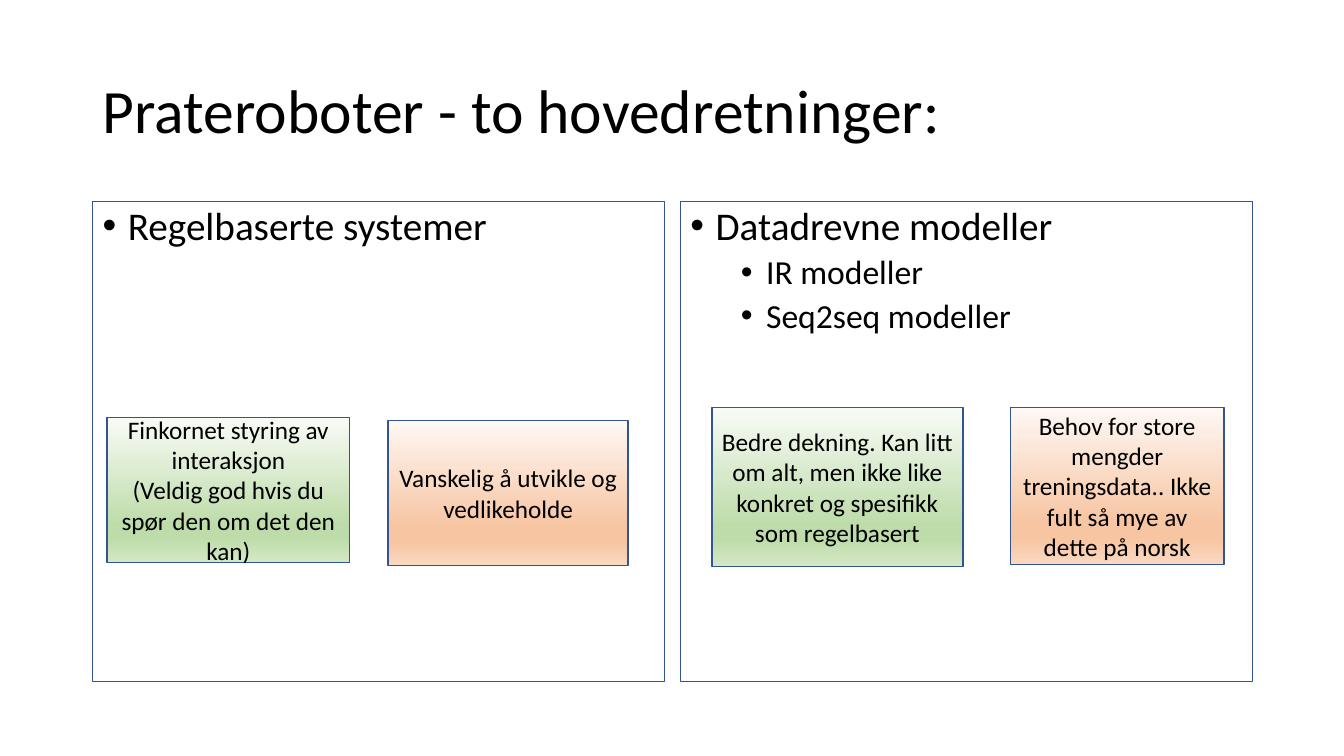
"""Build a slide that compares two main approaches to chatbots."""
from dataclasses import dataclass

import lxml.etree
import pptx
import pptx.dml.color
import pptx.enum.shapes
import pptx.enum.text
import pptx.oxml.ns
import pptx.util

Inches = pptx.util.Inches
Pt = pptx.util.Pt
COLOURS = {"text": "000000", "line": "325491"}
GRADIENTS = {
    "strength": {0: "F8FBF6", 74: "BEDCAA", 83: "BEDCAA", 100: "D4E8C6"},
    "weakness": {0: "FEF8F5", 74: "F7C5A2", 83: "F7C5A2", 100: "FAD8C1"},
}


@dataclass
class Panel:
    """A framed bullet list with a heading and subpoints."""
    left: float
    heading: str
    subpoints: tuple[str, ...] = ()


@dataclass
class Note:
    """A gradient box that names a strength or a weakness."""
    left: float
    top: float
    width: float
    height: float
    kind: str
    lines: tuple[str, ...]


PANELS = [
    Panel(0.92, "Regelbaserte systemer"),
    Panel(6.75, "Datadrevne modeller", ("IR modeller", "Seq2seq modeller")),
]
NOTES = [
    Note(1.06, 4.14, 2.41, 1.44, "strength",
         ("Finkornet styring av interaksjon",
          "(Veldig god hvis du spør den om det den kan)")),
    Note(3.85, 4.17, 2.38, 1.44, "weakness",
         ("Vanskelig å utvikle og vedlikeholde",)),
    Note(7.06, 4.04, 2.49, 1.58, "strength",
         ("Bedre dekning. Kan litt om alt, men ikke like konkret og spesifikk "
          "som regelbasert",)),
    Note(10.02, 4.04, 2.12, 1.56, "weakness",
         ("Behov for store mengder treningsdata.. Ikke fult så mye av dette "
          "på norsk",)),
]


def colour(code: str) -> pptx.dml.color.RGBColor:
    """Turn a hex string into a colour."""
    return pptx.dml.color.RGBColor.from_string(code)


def set_font(para, size: float) -> None:
    """Set the font of a whole paragraph."""
    para.font.name = "Calibri"
    para.font.size = Pt(size)
    para.font.color.rgb = colour(COLOURS["text"])


def set_outline(box, width: float) -> None:
    """Draw the blue outline of a box."""
    box.line.color.rgb = colour(COLOURS["line"])
    box.line.width = Pt(width)


def add_bullet(para, level: int) -> None:
    """Give a paragraph a hanging bullet for its level."""
    para.level = level
    para.line_spacing = 0.9
    para.space_before = Pt(5 if level else 10)
    properties = para._p.get_or_add_pPr()
    properties.set("marL", str(Inches(0.25 + 0.5 * level)))
    properties.set("indent", str(Inches(-0.25)))
    for tag, name, value in (("a:buFont", "typeface", "Arial"),
                             ("a:buChar", "char", "•")):
        lxml.etree.SubElement(properties, pptx.oxml.ns.qn(tag)).set(name, value)
    set_font(para, 24 if level else 28)


def set_gradient(box, stops: dict[int, str]) -> None:
    """Fill a box from top to bottom with the given stops."""
    box.fill.gradient()
    box.fill.gradient_angle = 270
    stop_list = box._element.spPr.find(".//" + pptx.oxml.ns.qn("a:gsLst"))
    for old_stop in list(stop_list):
        stop_list.remove(old_stop)
    for percent, code in stops.items():
        stop = lxml.etree.SubElement(stop_list, pptx.oxml.ns.qn("a:gs"))
        stop.set("pos", str(percent * 1000))
        lxml.etree.SubElement(stop, pptx.oxml.ns.qn("a:srgbClr")).set("val", code)


def add_title(page, text: str) -> None:
    """Place and format the title."""
    title = page.shapes.title
    title.left, title.top = Inches(0.92), Inches(0.4)
    title.width, title.height = Inches(11.5), Inches(1.45)
    frame = title.text_frame
    frame.text = text
    frame.auto_size = pptx.enum.text.MSO_AUTO_SIZE.NONE
    frame.vertical_anchor = pptx.enum.text.MSO_ANCHOR.MIDDLE
    para = frame.paragraphs[0]
    para.alignment = pptx.enum.text.PP_ALIGN.LEFT
    para.line_spacing = 0.9
    set_font(para, 44)


def add_panel(page, panel: Panel) -> None:
    """Draw a framed bullet list."""
    box = page.shapes.add_textbox(
        Inches(panel.left), Inches(2), Inches(5.67), Inches(4.76))
    set_outline(box, 0.75)
    frame = box.text_frame
    frame.word_wrap = True
    frame.text = "\n".join((panel.heading, *panel.subpoints))
    for index, para in enumerate(frame.paragraphs):
        add_bullet(para, min(index, 1))


def add_note(page, note: Note) -> None:
    """Draw a gradient box with centred text."""
    box = page.shapes.add_shape(
        pptx.enum.shapes.MSO_SHAPE.RECTANGLE, Inches(note.left),
        Inches(note.top), Inches(note.width), Inches(note.height))
    box.shadow.inherit = False
    set_gradient(box, GRADIENTS[note.kind])
    set_outline(box, 1)
    frame = box.text_frame
    frame.word_wrap = True
    frame.vertical_anchor = pptx.enum.text.MSO_ANCHOR.MIDDLE
    frame.text = "\n".join(note.lines)
    for para in frame.paragraphs:
        para.alignment = pptx.enum.text.PP_ALIGN.CENTER
        set_font(para, 18)


def main() -> None:
    """Build and save the deck."""
    deck = pptx.Presentation()
    deck.slide_width, deck.slide_height = Inches(13.33), Inches(7.5)
    page = deck.slides.add_slide(deck.slide_layouts.get_by_name("Title Only"))
    add_title(page, "Prateroboter - to hovedretninger:")
    for panel in PANELS:
        add_panel(page, panel)
    for note in NOTES:
        add_note(page, note)
    deck.save("out.pptx")


if __name__ == "__main__":
    main()
